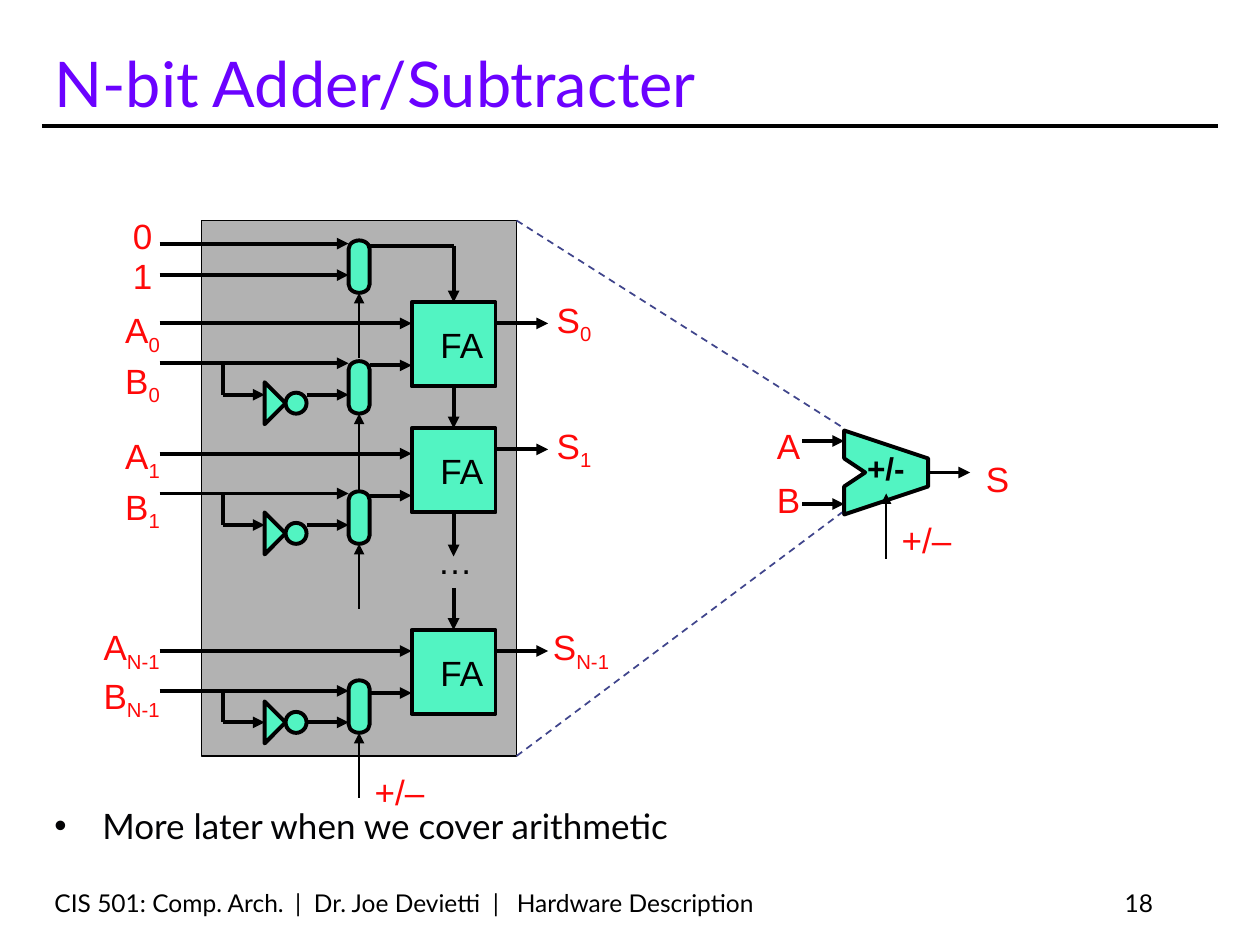
from dataclasses import dataclass
from lxml.etree import SubElement
from pptx import Presentation
from pptx.dml.color import RGBColor
from pptx.enum.dml import MSO_LINE
from pptx.enum.shapes import MSO_CONNECTOR, MSO_SHAPE
from pptx.enum.text import MSO_ANCHOR, PP_ALIGN
from pptx.oxml.ns import qn
from pptx.util import Inches, Pt

COLORS = {"ink": "000000", "title": "6B02FF", "signal": "FF0909", "gate": "52F4C2",
          "body": "B2B2B2", "zoom": "40458C", "point": "030305"}
UNIT = Inches(10) // 120  # the slide is a grid of 120 columns by 90 rows
LABEL_ROWS = 5.2

deck = Presentation()
deck.slide_width, deck.slide_height = UNIT * 120, UNIT * 90
slide = deck.slides.add_slide(deck.slide_layouts[6])


@dataclass
class Box:
    """Region of the grid; its parts are placed from its top left corner."""
    left: float
    top: float
    width: float
    height: float

    def at(self, col, row):
        return round((self.left + col) * UNIT), round((self.top + row) * UNIT)

    def inner(self, col, row, width, height):
        return Box(self.left + col, self.top + row, width, height)

    def frame(self):
        return *self.at(0, 0), round(self.width * UNIT), round(self.height * UNIT)


def rgb(name):
    return RGBColor.from_string(COLORS[name])


def write(frame, text, size=20, font="Arial", color="ink", bold=False, sub="",
          align=PP_ALIGN.LEFT, anchor=MSO_ANCHOR.TOP, wrap=False, bullet="", tabs=()):
    frame.word_wrap, frame.vertical_anchor = wrap, anchor
    paragraph = frame.paragraphs[0]
    paragraph.alignment = align
    props = paragraph._p.get_or_add_pPr()
    if bullet:
        props.set("marL", str(Inches(0.38)))
        props.set("indent", str(-Inches(0.38)))
        SubElement(props, qn("a:buFont"), typeface="Arial")
        SubElement(props, qn("a:buChar"), char=bullet)
    if tabs:
        stops = SubElement(props, qn("a:tabLst"))
        for stop in tabs:
            SubElement(stops, qn("a:tab"), pos=str(Inches(stop)), algn="l")
    for part, baseline in ((text, None), (sub, "-25000")):
        if not part:
            continue
        run = paragraph.add_run()
        run.text = part
        run.font.size, run.font.name, run.font.bold = Pt(size), font, bold
        run.font.color.rgb = rgb(color)
        if baseline:
            run._r.get_or_add_rPr().set("baseline", baseline)


def text_box(box, text, **style):
    write(slide.shapes.add_textbox(*box.frame()).text_frame, text, **style)


def signal(box, right, row, text, width=4.7, sub=""):
    """Red signal name whose box ends at the column `right`."""
    text_box(box.inner(right - width, row, width, LABEL_ROWS), text, sub=sub,
             color="signal", align=PP_ALIGN.RIGHT)


def paint(shape, fill="gate", weight=2.25):
    shape.shadow.inherit = False
    shape.fill.solid()
    shape.fill.fore_color.rgb = rgb(fill)
    shape.line.color.rgb = rgb("ink")
    shape.line.width = Pt(weight)
    return shape


def block(box, kind, turn=0, **look):
    shape = paint(slide.shapes.add_shape(kind, *box.frame()), **look)
    shape.rotation = turn
    return shape


def wire(box, start, end, arrow=True, weight=2.25, color="ink", dash=None):
    line = slide.shapes.add_connector(MSO_CONNECTOR.STRAIGHT, *box.at(*start), *box.at(*end))
    line.line.color.rgb = rgb(color)
    line.line.width = Pt(weight)
    if dash:
        line.line.dash_style = dash
    if arrow:
        SubElement(line.line._get_or_add_ln(), qn("a:tailEnd"), type="triangle")
    SubElement(line._element.spPr, qn("a:effectLst"))


def mux(box, center, select):
    """Selector at column 15 with its thin control wire coming from below."""
    block(box.inner(12.5, center - 1, 5, 2), MSO_SHAPE.FLOWCHART_TERMINATOR, turn=90)
    wire(box, (15, center + 2.5 + select), (15, center + 2.5), weight=1)


def carry_input(box):
    wire(box, (16, 2.4), (24, 2.4), arrow=False)
    mux(box, 4.4, select=6.2)
    for digit, row, label_row in (("0", 2.2, -1.2), ("1", 5.2, 2.6)):
        wire(box, (-4, row), (14, row))
        signal(box, -3.5, label_row, digit, width=4.3)


def bit_stage(box, index, label_width, carry, select, input_shift, gate_shift,
              name_rows, sum_right):
    """One full adder with its inverter, selector and signals."""
    adder = block(box.inner(20, 0, 8, 8), MSO_SHAPE.RECTANGLE)
    write(adder.text_frame, "FA", align=PP_ALIGN.RIGHT, anchor=MSO_ANCHOR.MIDDLE)
    wire(box, (24, -carry), (24, 0))
    wire(box, (28, 2), (33, 2))
    # Inverter and selector
    inputs = box.inner(0, input_shift, 30, 12)
    gate_row = 8.8 + gate_shift
    block(inputs.inner(8, gate_row - 1, 2, 2), MSO_SHAPE.FLOWCHART_CONNECTOR)
    block(inputs.inner(5, gate_row - 1, 4, 2), MSO_SHAPE.ISOSCELES_TRIANGLE, turn=90)
    mux(inputs, 7.3 + gate_shift, select)
    # Operand wires
    for start, end in (((-4, 2), (20, 2)), ((16, 6), (20, 6)), ((-4, 5.8), (14, 5.8)),
                       ((2, 8.8), (6, 8.8)), ((10, 8.8), (14, 8.8))):
        wire(inputs, start, end)
    wire(inputs, (2, 5.8), (2, 8.8), arrow=False)
    # Signal names
    for name, row in zip("AB", name_rows):
        signal(box, -2.8, row, name, label_width, sub=index)
    signal(box, sum_right, -1, "S", label_width, sub=index)


def adder_detail(box):
    block(box, MSO_SHAPE.RECTANGLE, fill="body", weight=1)
    carry_input(box)
    low = dict(label_width=5.9, gate_shift=0.8, name_rows=(0, 4.8), sum_right=38.3)
    stages = (
        (7.8, dict(low, index="0", carry=5.4, select=7.4, input_shift=0)),
        (19.8, dict(low, index="1", carry=4, select=6.2, input_shift=0.4)),
        (39, dict(index="N-1", label_width=8.2, carry=4, select=6.2, input_shift=0,
                  gate_shift=0, name_rows=(-1, 3.6), sum_right=40)),
    )
    for row, stage in stages:
        bit_stage(box.inner(0, row, 30, 12), **stage)
    # Skipped stages and the shared control
    wire(box, (24, 28), (24, 32))
    text_box(box.inner(21.2, 29.8, 5.8, LABEL_ROWS), "…", align=PP_ALIGN.RIGHT)
    signal(box, 22.4, 51.8, "+/–", width=7.2)


def adder_symbol(box):
    third = box.height / 3
    corners = [(8, third), (8, 2 * third), (0, 8), (0, 2 * third), (2, 4), (0, third)]
    outline = slide.shapes.build_freeform(*box.at(0, 0))
    outline.add_line_segments([box.at(*corner) for corner in corners])
    paint(outline.convert_to_shape())
    text_box(box.inner(1, 1.2, 6, 4.8), "+/-", size=18, bold=True)
    for start, end in (((8, 4), (12, 4)), ((-4, 1), (0, 1)), ((-4, 7), (0, 7))):
        wire(box, start, end)
    wire(box, (4, 12.2), (4, 6), weight=1)
    signal(box, -3, -1.2, "A")
    signal(box, -3, 4, "B")
    signal(box, 16.9, 2, "S")
    signal(box, 11.4, 7.8, "+/–", width=7.2)


def page_frame(page):
    text_box(page.inner(4, 3, 106, 9), "N-bit Adder/Subtracter", size=36, font="Lato",
             color="title", anchor=MSO_ANCHOR.BOTTOM, wrap=True)
    wire(page, (4, 12), (116, 12), arrow=False)
    text_box(page.inner(4, 76, 112, 6), "More later when we cover arithmetic", font="Lato",
             color="point", wrap=True, bullet="•")
    footer = dict(size=14, font="Lato", anchor=MSO_ANCHOR.BOTTOM, wrap=True)
    text_box(page.inner(4, 84, 75, 4),
             "CIS 501: Comp. Arch.\t|\tDr. Joe Devietti\t|\tHardware Description",
             tabs=(1.91, 2.06, 3.48, 3.67), **footer)
    text_box(page.inner(86, 84, 25, 4), "18", align=PP_ALIGN.RIGHT, **footer)


page = Box(0, 0, 120, 90)
detail = Box(19.2, 21, 30, 51)
symbol = Box(80.4, 41, 8, 8)
page_frame(page)
adder_symbol(symbol)
adder_detail(detail)
# Zoom lines from the detail to the symbol
for start, end in (((30, 0), (61.2, 19.8)), ((30, 51), (61, 27.8))):
    wire(detail, start, end, arrow=False, weight=1, color="zoom", dash=MSO_LINE.DASH)
deck.save("out.pptx")
